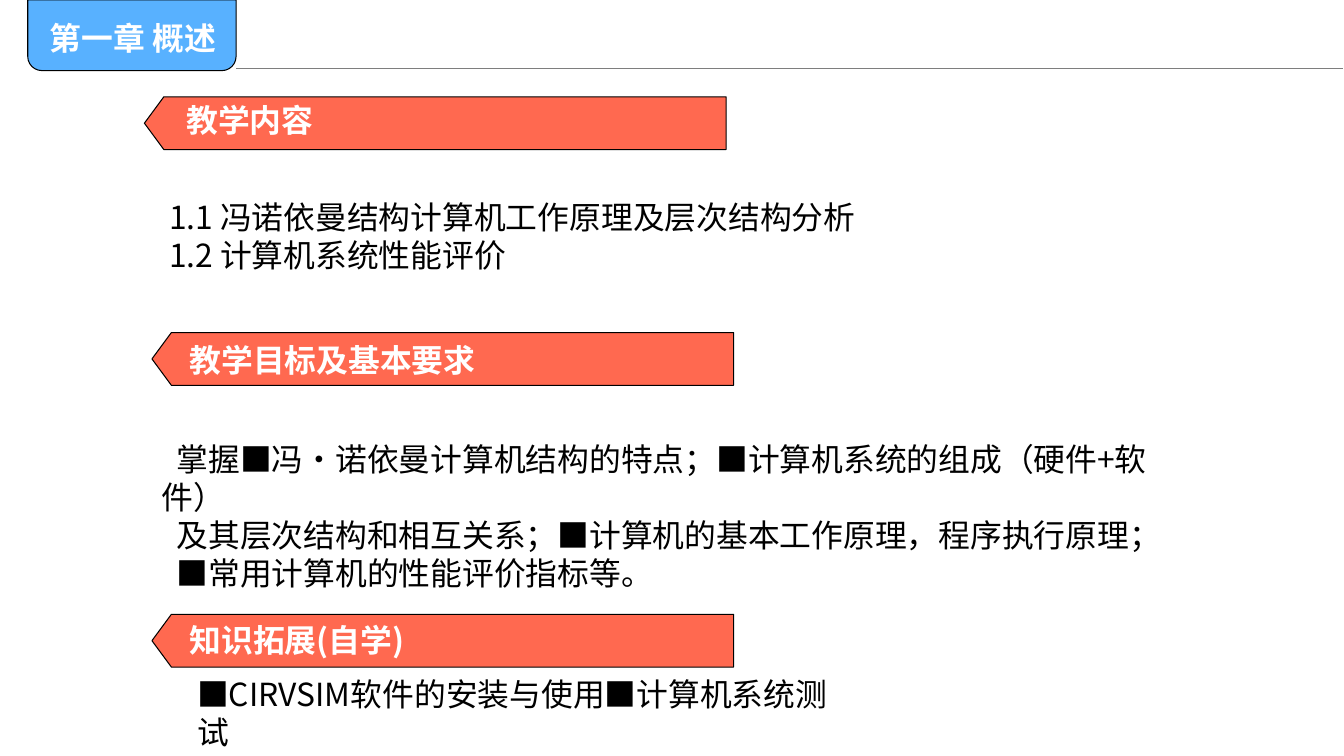
from lxml import etree
from pptx import Presentation
from pptx.dml.color import RGBColor
from pptx.enum import shapes, text
from pptx.oxml.ns import qn
from pptx.util import Cm, Pt

FONT = "Noto Sans CJK SC"
BLUE = RGBColor(0x58, 0xB1, 0xFF)
CORAL = RGBColor(0xFF, 0x69, 0x50)
GRAY = RGBColor(0x7E, 0x7E, 0x7E)
BLACK = RGBColor(0, 0, 0)
WHITE = RGBColor(0xFF, 0xFF, 0xFF)


def write_text(shape, lines, color=BLACK, bold=False, inset=(0.25, 0.13), indent=0):
    """Fill a shape with paragraphs; inset and first-line indent are in cm."""
    frame = shape.text_frame
    frame.word_wrap = True
    frame.auto_size = text.MSO_AUTO_SIZE.NONE
    frame.vertical_anchor = text.MSO_ANCHOR.TOP
    frame.margin_left = frame.margin_right = Cm(inset[0])
    frame.margin_top = frame.margin_bottom = Cm(inset[1])
    for index, line in enumerate(lines):
        paragraph = frame.add_paragraph() if index else frame.paragraphs[0]
        paragraph.alignment = text.PP_ALIGN.LEFT
        paragraph.line_spacing = Pt(27.1)
        paragraph.space_before = Pt(0)
        properties = paragraph._p.get_or_add_pPr()
        properties.set("marL", "0")
        properties.set("indent", str(Cm(indent)))
        run = paragraph.add_run()
        run.text = line
        run.font.size = Pt(22.7)
        run.font.bold = bold
        run.font.color.rgb = color
        run.font.name = FONT
        run_properties = run._r.get_or_add_rPr()
        run_properties.set("lang", "zh-CN")
        etree.SubElement(run_properties, qn("a:ea"), typeface=FONT)


def paint(shape, fill):
    shape.shadow.inherit = False
    shape.fill.solid()
    shape.fill.fore_color.rgb = fill
    shape.line.color.rgb = BLACK
    shape.line.width = Pt(0.75)


presentation = Presentation()
presentation.slide_width = Cm(33.87)
presentation.slide_height = Cm(19.05)
slide = presentation.slides.add_slide(presentation.slide_layouts[5])

# Chapter tab with rounded lower corners, and the header rule
tab = slide.shapes.add_shape(
    shapes.MSO_SHAPE.ROUND_2_SAME_RECTANGLE, Cm(0.7), Cm(0), Cm(5.25), Cm(1.78))
tab.adjustments[0] = 0
tab.adjustments[1] = 0.2
paint(tab, BLUE)

rule = slide.shapes.add_connector(
    shapes.MSO_CONNECTOR.STRAIGHT, Cm(5.95), Cm(1.73), Cm(33.84), Cm(1.73))
rule.line.color.rgb = GRAY
rule.line.width = Pt(0.72)
etree.SubElement(rule._element.spPr, qn("a:effectLst"))

title = slide.shapes.title
title.left, title.top, title.width, title.height = Cm(1.23), Cm(0.45), Cm(6.17), Cm(1)
write_text(title, ["第一章 概述"], color=WHITE, bold=True, inset=(0.03, 0.03))
slide.shapes._spTree.append(title._element)  # in front of the tab

# Section banners: left, top, heading left, heading top, heading
BANNER_WIDTH, BANNER_HEIGHT, TIP = 14.66, 1.33, 0.49
banners = [
    (3.64, 2.44, 4.7, 2.51, "教学内容"),
    (3.83, 8.38, 4.78, 8.57, "教学目标及基本要求"),
    (3.83, 15.48, 4.78, 15.61, "知识拓展(自学)"),
]
for left, top, heading_left, heading_top, heading in banners:
    right, bottom = left + BANNER_WIDTH, top + BANNER_HEIGHT
    outline = slide.shapes.build_freeform(Cm(right), Cm(top))
    outline.add_line_segments([
        (Cm(left + TIP), Cm(top)),
        (Cm(left), Cm(top + BANNER_HEIGHT / 2)),
        (Cm(left + TIP), Cm(bottom)),
        (Cm(right), Cm(bottom)),
    ])
    paint(outline.convert_to_shape(), CORAL)
    heading_box = slide.shapes.add_textbox(
        Cm(heading_left), Cm(heading_top), Cm(13.86), Cm(1))
    write_text(heading_box, [heading], color=WHITE, bold=True, inset=(0, 0.03))

# Section bodies: left, top, width, height, first-line indent, lines
bodies = [
    (3.63, 4.87, 20.75, 2.2, 0.38, [
        "1.1 冯诺依曼结构计算机工作原理及层次结构分析",
        "1.2 计算机系统性能评价",
    ]),
    (3.83, 10.96, 26.82, 4.1, 0.37, [
        "掌握■冯·诺依曼计算机结构的特点；■计算机系统的组成（硬件+软件）",
        "及其层次结构和相互关系；■计算机的基本工作原理，程序执行原理；",
        "■常用计算机的性能评价指标等。",
    ]),
    (4.72, 16.89, 16.94, 2.1, 0, [
        "■CIRVSIM软件的安装与使用■计算机系统测试",
    ]),
]
for left, top, width, height, indent, lines in bodies:
    body = slide.shapes.add_textbox(Cm(left), Cm(top), Cm(width), Cm(height))
    write_text(body, lines, indent=indent)

presentation.save("out.pptx")
